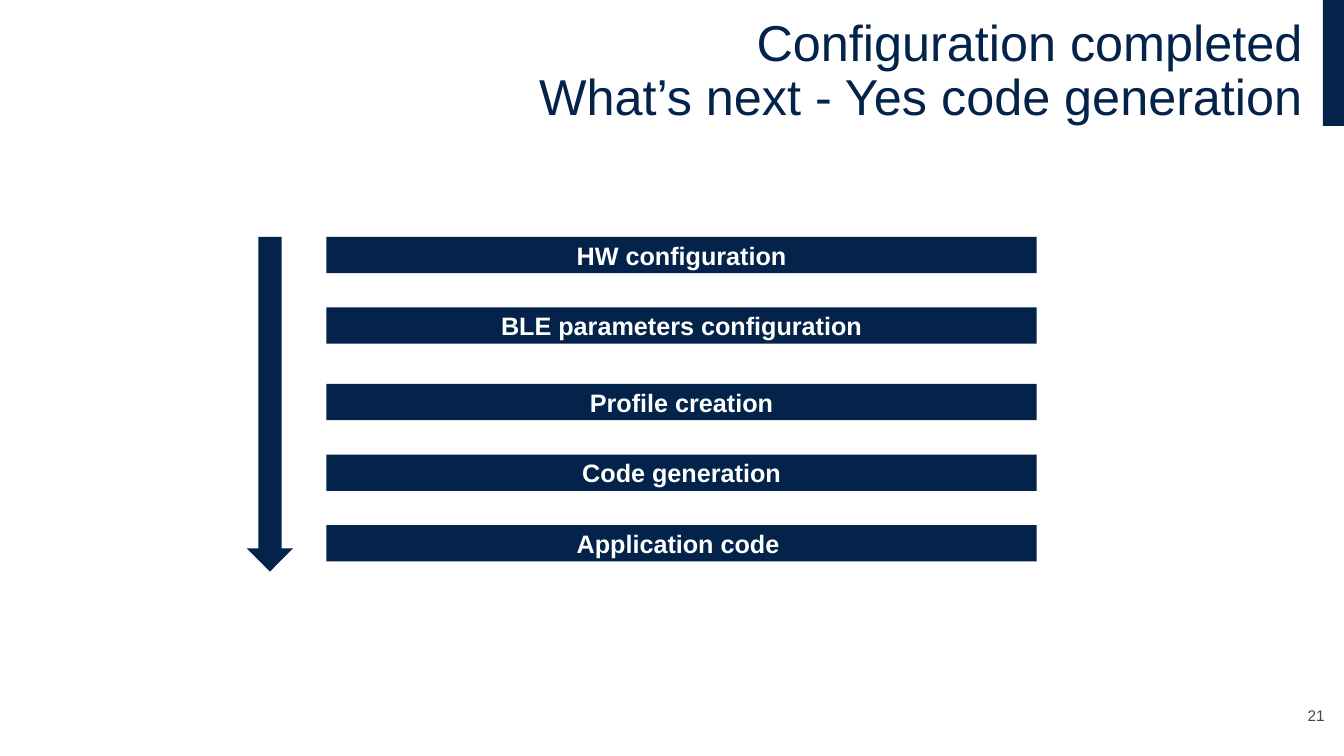
import pptx
import pptx.dml.color
import pptx.enum.shapes
import pptx.enum.text
import pptx.util

COLORS = {"navy": "03234B", "white": "FFFFFF", "gray": "464650"}
FONT = "Arial"
CELL = pptx.util.Inches(0.1)
COLUMNS, ROWS = 133.4, 75
STEP_LEFT, STEP_WIDTH, STEP_HEIGHT, STEP_PITCH = 32.4, 70.5, 3.6, 7
STEP_GROUPS = [
    (23.5, ["HW configuration", "BLE parameters configuration"]),
    (38.1, ["Profile creation", "Code generation", "Application code "]),
]
SHAPES = pptx.enum.shapes.MSO_SHAPE
ALIGN = pptx.enum.text.PP_ALIGN
ANCHOR = pptx.enum.text.MSO_ANCHOR


def cells(*counts):
    return [round(count * CELL) for count in counts]


def color(name):
    return pptx.dml.color.RGBColor.from_string(COLORS[name])


def write(box, text, size, color_name, align, anchor, bold=False):
    frame = box.text_frame
    frame.text = text
    frame.word_wrap = True
    frame.auto_size = pptx.enum.text.MSO_AUTO_SIZE.NONE
    frame.vertical_anchor = anchor
    para = frame.paragraphs[0]
    para.alignment = align
    for span in para.runs:
        span.font.name = FONT
        span.font.size = pptx.util.Pt(size)
        span.font.bold = bold
        span.font.color.rgb = color(color_name)
    return frame


def add_block(page, kind, left, top, width, height):
    block = page.shapes.add_shape(kind, *cells(left, top, width, height))
    block.shadow.inherit = False
    block.fill.solid()
    block.fill.fore_color.rgb = color("navy")
    block.line.fill.background()
    return block


def add_title(page, text):
    title = page.shapes.title
    title.left, title.top, title.width, title.height = cells(3.3, 0, 127, 14.3)
    frame = write(title, text, 36, "navy", ALIGN.RIGHT, ANCHOR.MIDDLE)
    frame.paragraphs[0].line_spacing = 0.9


def add_steps(page):
    for group_top, labels in STEP_GROUPS:
        for row, label in enumerate(labels):
            top = group_top + row * STEP_PITCH
            step = add_block(page, SHAPES.RECTANGLE, STEP_LEFT, top, STEP_WIDTH, STEP_HEIGHT)
            write(step, label, 18, "white", ALIGN.CENTER, ANCHOR.MIDDLE, bold=True)


def add_page_number(page, number):
    box = page.shapes.add_textbox(*cells(127, 69.2, 4.5, 3.2))
    frame = write(box, number, 11, "gray", ALIGN.RIGHT, ANCHOR.BOTTOM)
    frame.margin_left = frame.margin_right = 0


def main():
    deck = pptx.Presentation()
    deck.slide_width, deck.slide_height = cells(COLUMNS, ROWS)
    page = deck.slides.add_slide(deck.slide_layouts[5])
    add_block(page, SHAPES.RECTANGLE, 131.3, 0, 2.1, 12.5)
    add_title(page, "Configuration completed\vWhat’s next - Yes code generation")
    add_steps(page)
    add_block(page, SHAPES.DOWN_ARROW, 24.5, 23.5, 4.6, 33.2)
    add_page_number(page, "21")
    deck.save("out.pptx")


if __name__ == "__main__":
    main()
